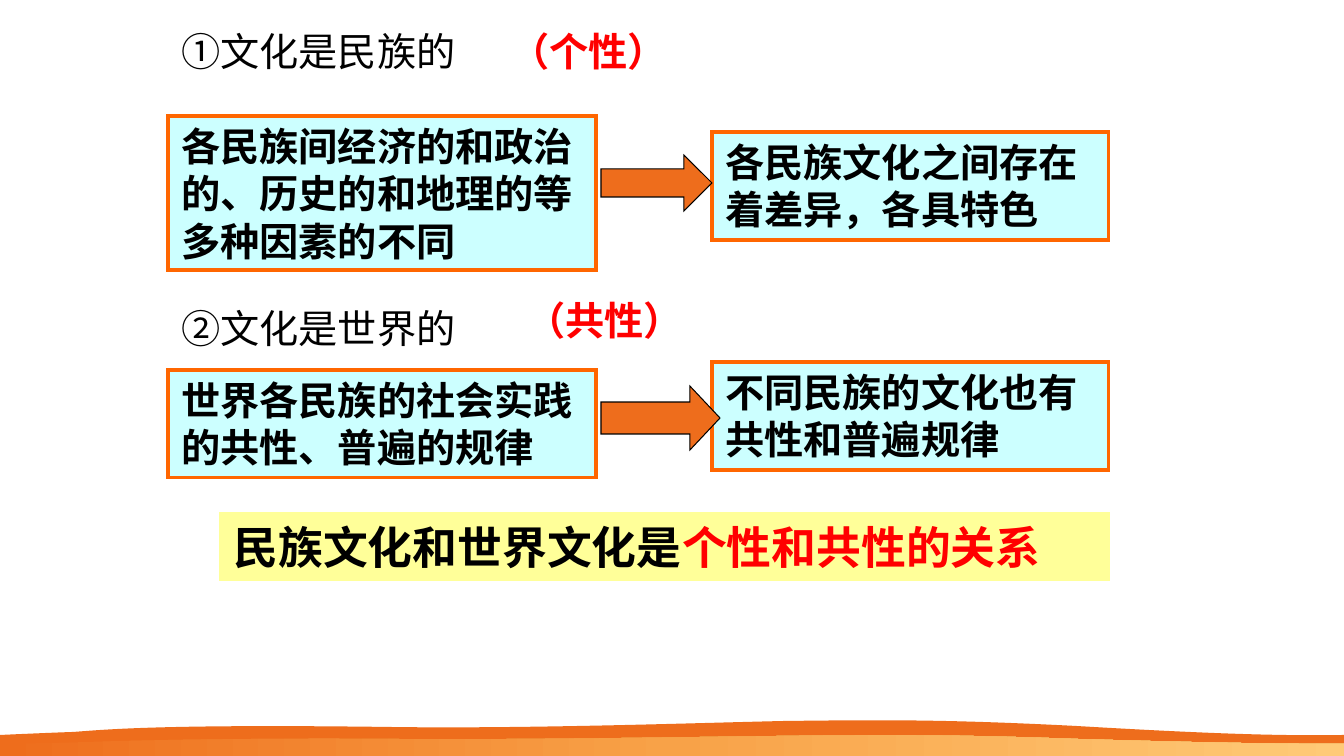
from copy import deepcopy

from lxml.etree import SubElement
from pptx import Presentation
from pptx.dml.color import RGBColor
from pptx.enum.shapes import MSO_SHAPE
from pptx.enum.text import MSO_ANCHOR, MSO_AUTO_SIZE, PP_ALIGN
from pptx.oxml.ns import qn
from pptx.util import Pt

PX = 914400 / 100.8
WIDE, HIGH = 1344, 756
HAN = "Noto Sans CJK SC"
COLORS = {
    "black": "000000",
    "red": "FF0000",
    "cyan": "CCFFFF",
    "edge": "FF6600",
    "yellow": "FFFF99",
    "orange": "EE6D1C",
    "amber": "F8A248",
    "gold": "FFCA77",
}
# Each wave is a start point followed by Bezier triples.
BACK = [(0, 735), (0, 735), (44, 733), (73, 732), (102, 730), (153, 724),
        (388, 727), (527, 729), (695, 723), (785, 721), (876, 720), (940, 719),
        (1076, 726), (1212, 734), (1281, 736), (1344, 735)]
FRONT = [(0, 744), (0, 744), (58, 743), (88, 742), (116, 741), (222, 738),
         (390, 739), (528, 740), (690, 737), (780, 736), (871, 735), (940, 734),
         (1076, 739), (1212, 743), (1282, 744), (1344, 744)]


def emu(px):
    return round(px * PX)


def color(name):
    return RGBColor.from_string(COLORS[name])


def bend(shape, count):
    """Turn the first count line segments into curves, three points to each."""
    lines = list(shape._element.iter(qn("a:lnTo")))[:count]
    for i in range(0, count, 3):
        first, *rest = lines[i:i + 3]
        curve = SubElement(first.getparent(), qn("a:cubicBezTo"))
        first.addprevious(curve)
        for line in (first, *rest):
            curve.append(line[0])
            line.getparent().remove(line)


def add_wave(slide, knots, tints):
    points = [(emu(x), emu(y)) for x, y in knots + [(WIDE, HIGH), (0, HIGH)]]
    path = slide.shapes.build_freeform(*points[0])
    path.add_line_segments(points[1:], close=True)
    wave = path.convert_to_shape()
    bend(wave, len(knots) - 1)
    wave.shadow.inherit = False
    wave.line.fill.background()
    if len(tints) == 1:
        wave.fill.solid()
        wave.fill.fore_color.rgb = color(tints[0])
        return
    wave.fill.gradient()
    wave.fill.gradient_angle = 0
    stops = wave._element.spPr.find(".//" + qn("a:gsLst"))
    stops.append(deepcopy(stops[0]))
    for i, (stop, tint) in enumerate(zip(wave.fill.gradient_stops, tints)):
        stop.position = i / (len(tints) - 1)
        stop.color.rgb = color(tint)


def add_shape(slide, kind, place, fill, edge, width):
    shape = slide.shapes.add_shape(kind, *map(emu, place))
    shape.shadow.inherit = False
    shape.fill.solid()
    shape.fill.fore_color.rgb = color(fill)
    shape.line.color.rgb = color(edge)
    shape.line.width = Pt(width)
    line = shape._element.spPr.find(qn("a:ln"))
    SubElement(line, qn("a:miter")).set("lim", "800000")
    return shape


def write(shape, runs, size=28, face="Arial", bold=True):
    frame = shape.text_frame
    frame.word_wrap = True
    frame.auto_size = MSO_AUTO_SIZE.SHAPE_TO_FIT_TEXT
    frame.vertical_anchor = MSO_ANCHOR.TOP
    frame.margin_left = frame.margin_right = Pt(9.6)
    frame.margin_top = frame.margin_bottom = Pt(4.8)
    para = frame.paragraphs[0]
    para.alignment = PP_ALIGN.LEFT
    for text, tint in runs:
        run = para.add_run()
        run.text = text
        run.font.size = Pt(size)
        run.font.bold = bold
        run.font.color.rgb = color(tint)
        run.font.name = face
        SubElement(run.font._element, qn("a:ea")).set("typeface", HAN)


def add_label(slide, place, text, tint, **style):
    box = slide.shapes.add_textbox(*map(emu, place))
    write(box, [(text, tint)], **style)


def add_box(slide, place, text):
    box = add_shape(slide, MSO_SHAPE.RECTANGLE, place, "cyan", "edge", 2.25)
    write(box, [(text, "black")])


def add_arrow(slide, place, head):
    arrow = add_shape(slide, MSO_SHAPE.RIGHT_ARROW, place, "orange", "black", 0.75)
    arrow.adjustments[0] = 0.5
    arrow.adjustments[1] = head


def add_banner(slide, place, runs):
    banner = add_shape(slide, MSO_SHAPE.RECTANGLE, place, "yellow", "yellow", 0.75)
    write(banner, runs, size=32)


def main():
    deck = Presentation()
    deck.slide_width, deck.slide_height = emu(WIDE), emu(HIGH)
    slide = deck.slides.add_slide(deck.slide_layouts[6])

    add_wave(slide, BACK, ["orange"])
    add_wave(slide, FRONT, ["orange", "amber", "gold"])

    add_box(slide, (168, 370, 428, 108), "世界各民族的社会实践的共性、普遍的规律")
    add_box(slide, (168, 116, 428, 154), "各民族间经济的和政治的、历史的和地理的等多种因素的不同")
    add_label(slide, (168, 21, 342, 61), "①文化是民族的", "black", face=HAN, bold=False)
    add_box(slide, (712, 132, 397, 108), "各民族文化之间存在着差异，各具特色")
    add_label(slide, (497, 21, 223, 61), "（个性）", "red")
    add_box(slide, (712, 362, 397, 108), "不同民族的文化也有共性和普遍规律")
    add_arrow(slide, (601, 155, 111, 56), 0.5)
    add_arrow(slide, (601, 386, 119, 64), 0.47)
    add_label(slide, (168, 298, 350, 61), "②文化是世界的", "black", face=HAN, bold=False)
    add_label(slide, (513, 290, 207, 61), "（共性）", "red")

    add_banner(slide, (220, 513, 890, 68),
               [("民族文化和世界文化是", "black"), ("个性和共性的关系", "red")])
    deck.save("out.pptx")


if __name__ == "__main__":
    main()
